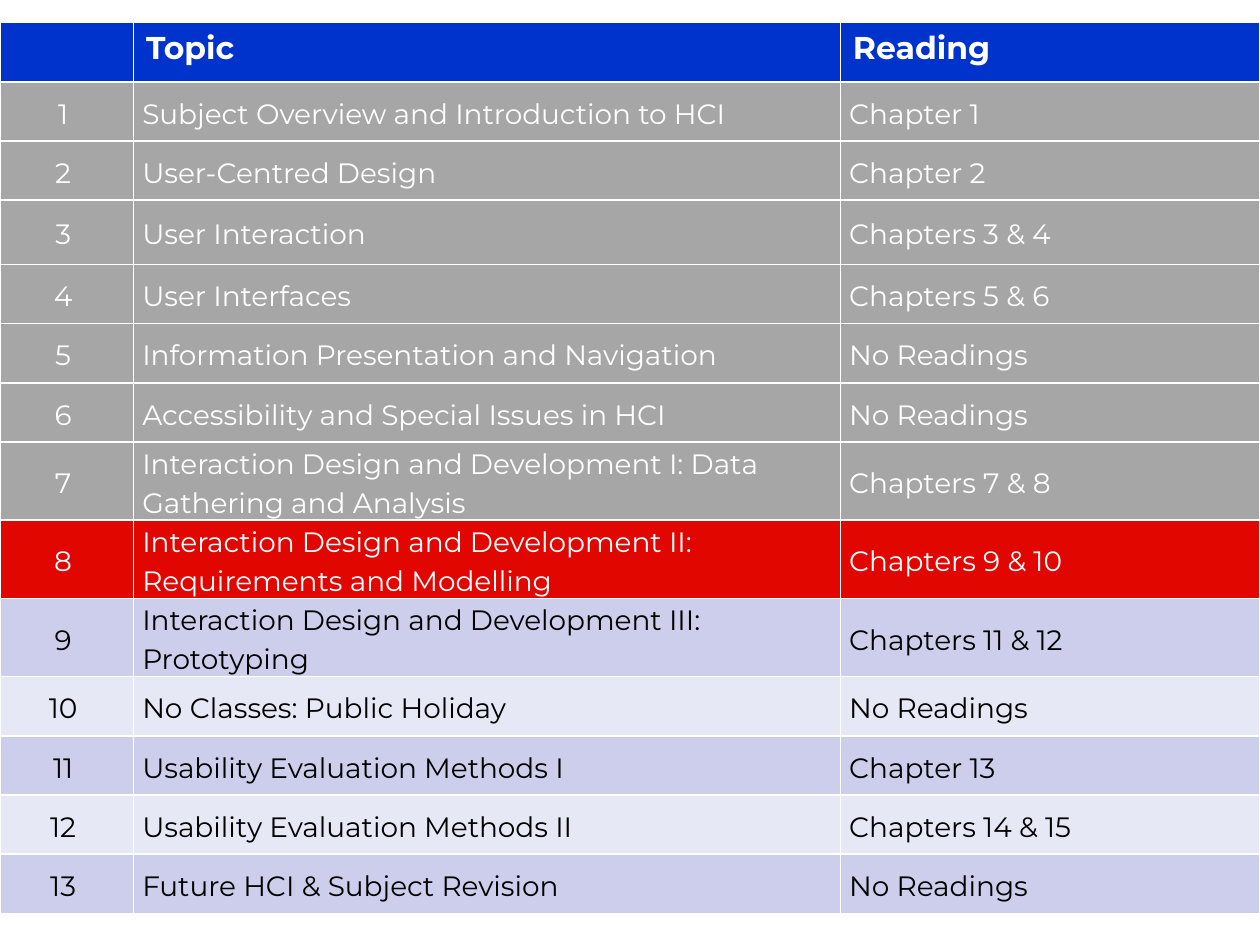
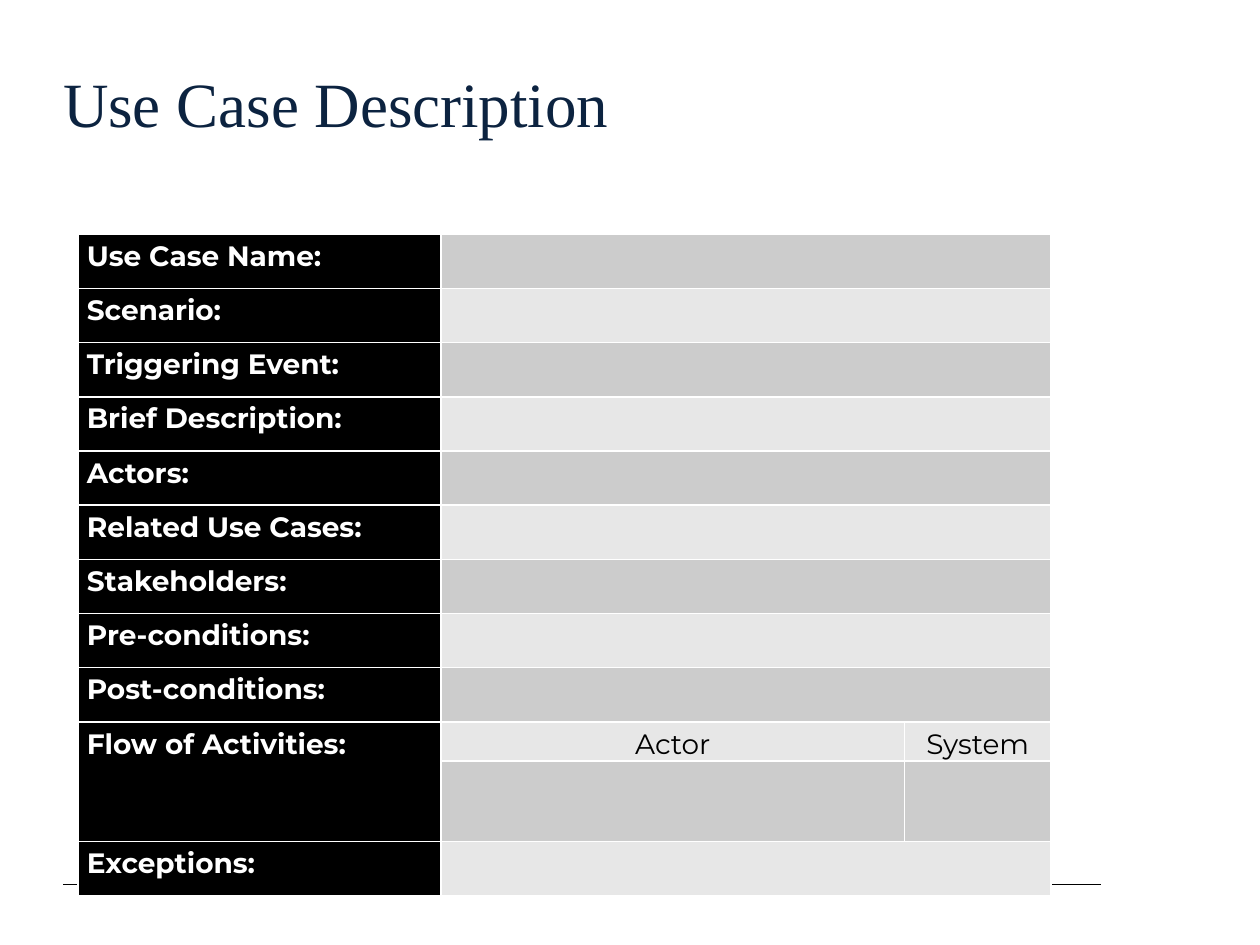
from lxml.etree import SubElement
from pptx import Presentation
from pptx.dml.color import RGBColor
from pptx.enum.shapes import MSO_CONNECTOR
from pptx.enum.text import MSO_ANCHOR, MSO_AUTO_SIZE, PP_ALIGN
from pptx.oxml.ns import qn
from pptx.util import Inches, Pt

WHITE = RGBColor(0xFF, 0xFF, 0xFF)
BLACK = RGBColor(0x00, 0x00, 0x00)
NAVY = RGBColor(0x0C, 0x23, 0x40)
BLUE = RGBColor(0x00, 0x33, 0xCC)
RED = RGBColor(0xE1, 0x06, 0x00)
GRAY = RGBColor(0xA6, 0xA6, 0xA6)
LILAC = (RGBColor(0xE7, 0xE8, 0xF6), RGBColor(0xCC, 0xCE, 0xEC))
SILVER = (RGBColor(0xCC, 0xCC, 0xCC), RGBColor(0xE7, 0xE7, 0xE7))
SANS, SERIF = "Montserrat", "Times New Roman"

HEADS = ("", "Topic", "Reading")
WEEKS = [
    ("Subject Overview and Introduction to HCI", "Chapter 1"),
    ("User-Centred Design", "Chapter 2"),
    ("User Interaction", "Chapters 3 & 4"),
    ("User Interfaces", "Chapters 5 & 6"),
    ("Information Presentation and Navigation", "No Readings"),
    ("Accessibility and Special Issues in HCI", "No Readings"),
    ("Interaction Design and Development I: Data Gathering and Analysis",
     "Chapters 7 & 8"),
    ("Interaction Design and Development II: Requirements and Modelling",
     "Chapters 9 & 10"),
    ("Interaction Design and Development III: Prototyping",
     "Chapters 11 & 12"),
    ("No Classes: Public Holiday", "No Readings"),
    ("Usability Evaluation Methods I", "Chapter 13"),
    ("Usability Evaluation Methods II", "Chapters 14 & 15"),
    ("Future HCI & Subject Revision", "No Readings"),
]
NOW = 8
WEEK_COLS = (1.06, 5.61, 3.33)
WEEK_ROWS = [0.47] * 3 + [0.51] + [0.47] * 3 + [0.62] * 3 + [0.47] * 4

FIELDS = ["Use Case Name:", "Scenario:", "Triggering Event:",
          "Brief Description:", "Actors:", "Related Use Cases:",
          "Stakeholders:", "Pre-conditions:", "Post-conditions:",
          "Flow of Activities:", "", "Exceptions:"]
ROLES = ("Actor", "System")
FLOW = FIELDS.index("Flow of Activities:")
CASE_COLS = (2.88, 3.68, 1.16)
CASE_ROWS = [0.43] * FLOW + [0.31, 0.64, 0.43]


def add_grid(slide, left, top, cols, rows):
    frame = slide.shapes.add_table(
        len(rows), len(cols), Inches(left), Inches(top),
        Inches(sum(cols)), Inches(sum(rows)))
    grid = frame.table
    grid.horz_banding = False
    for col, width in zip(grid.columns, cols):
        col.width = Inches(width)
    for row, height in zip(grid.rows, rows):
        row.height = Inches(height)
    return grid


def style(para, size, color, bold=False, face=SANS):
    font = para.font
    font.name, font.size, font.bold = face, Pt(size), bold
    font.color.rgb = color


def paint(cell, fill):
    cell.fill.solid()
    cell.fill.fore_color.rgb = fill


def put(cell, text, fill, color, bold=False, align=PP_ALIGN.LEFT):
    """Fill a body cell: tight margins, 16 pt, loose lines."""
    paint(cell, fill)
    cell.margin_left = cell.margin_right = Inches(0.07)
    cell.margin_top = cell.margin_bottom = 0
    cell.text = text
    para = cell.text_frame.paragraphs[0]
    para.alignment, para.line_spacing = align, 1.15
    style(para, 16, color, bold)


def add_rule(deck, slide):
    """Draw the footer rule and hand it to the master."""
    rule = slide.shapes.add_connector(
        MSO_CONNECTOR.STRAIGHT, Inches(0.5), Inches(7.02),
        Inches(8.74), Inches(7.02))
    rule.line.color.rgb = BLACK
    rule.line.width = Pt(0.75)
    SubElement(rule.element.spPr, qn("a:effectLst"))
    deck.slide_master.shapes.element.append(rule.element)


def add_title(slide, text):
    title = slide.shapes.title
    title.left, title.top = Inches(0.5), Inches(0.45)
    title.width, title.height = Inches(7.96), Inches(0.93)
    frame = title.text_frame
    frame.text = text
    frame.auto_size = MSO_AUTO_SIZE.NONE
    frame.vertical_anchor = MSO_ANCHOR.TOP
    frame.margin_left, frame.margin_top = 0, Inches(0.06)
    frame.margin_right, frame.margin_bottom = Inches(0.1), Inches(0.05)
    para = frame.paragraphs[0]
    para.alignment = PP_ALIGN.LEFT
    style(para, 36, NAVY, face=SERIF)


def week_look(week):
    """Fill and text colour: past, present or coming week."""
    if week < NOW:
        return GRAY, WHITE
    if week == NOW:
        return RED, WHITE
    return LILAC[week % 2], BLACK


def fill_weeks(slide):
    grid = add_grid(slide, 0, 0.18, WEEK_COLS, WEEK_ROWS)
    for col, head in enumerate(HEADS):
        cell = grid.cell(0, col)
        paint(cell, BLUE)
        cell.text = head
        style(cell.text_frame.paragraphs[0], 18, WHITE, True)
    for week, (topic, pages) in enumerate(WEEKS, 1):
        fill, color = week_look(week)
        for col, text in enumerate((f"{week} ", topic, pages)):
            cell = grid.cell(week, col)
            align = PP_ALIGN.LEFT if col else PP_ALIGN.CENTER
            put(cell, text, fill, color, align=align)
            cell.vertical_anchor = MSO_ANCHOR.MIDDLE


def fill_case(slide):
    add_title(slide, "Use Case Description")
    grid = add_grid(slide, 0.62, 1.86, CASE_COLS, CASE_ROWS)
    grid.first_row, grid.first_col = False, True
    for row, field in enumerate(FIELDS):
        put(grid.cell(row, 0), field, BLACK, WHITE, True)
        for col, role in enumerate(ROLES, 1):
            text = role if row == FLOW else ""
            put(grid.cell(row, col), text, SILVER[row % 2], BLACK,
                align=PP_ALIGN.CENTER)
        if row not in (FLOW, FLOW + 1):
            grid.cell(row, 1).merge(grid.cell(row, 2))
    grid.cell(FLOW, 0).merge(grid.cell(FLOW + 1, 0))


def main():
    deck = Presentation()
    deck.slide_width, deck.slide_height = Inches(10), Inches(7.5)
    weeks = deck.slides.add_slide(deck.slide_layouts[6])
    case = deck.slides.add_slide(deck.slide_layouts[5])
    add_rule(deck, weeks)
    fill_weeks(weeks)
    fill_case(case)
    deck.save("out.pptx")


if __name__ == "__main__":
    main()
